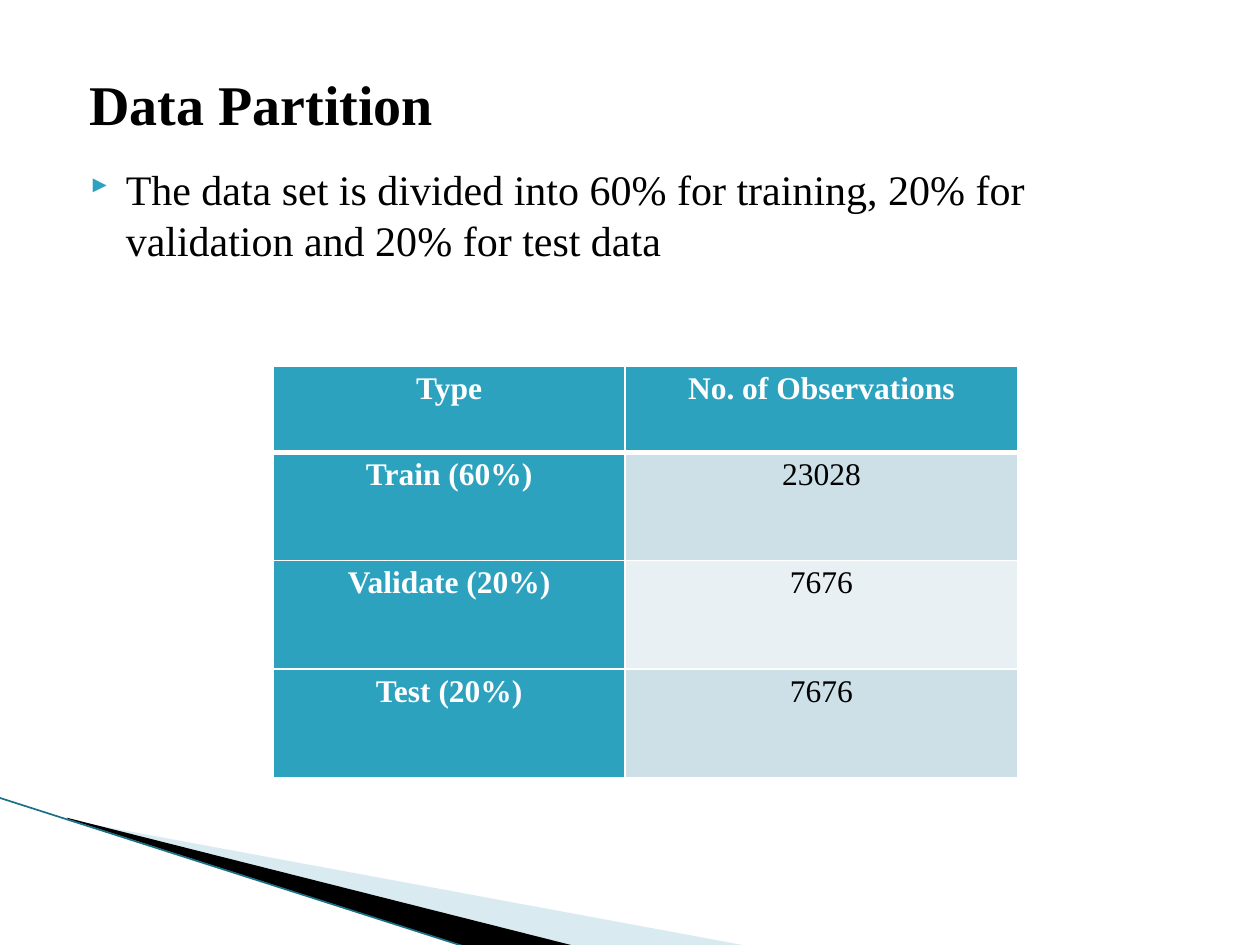
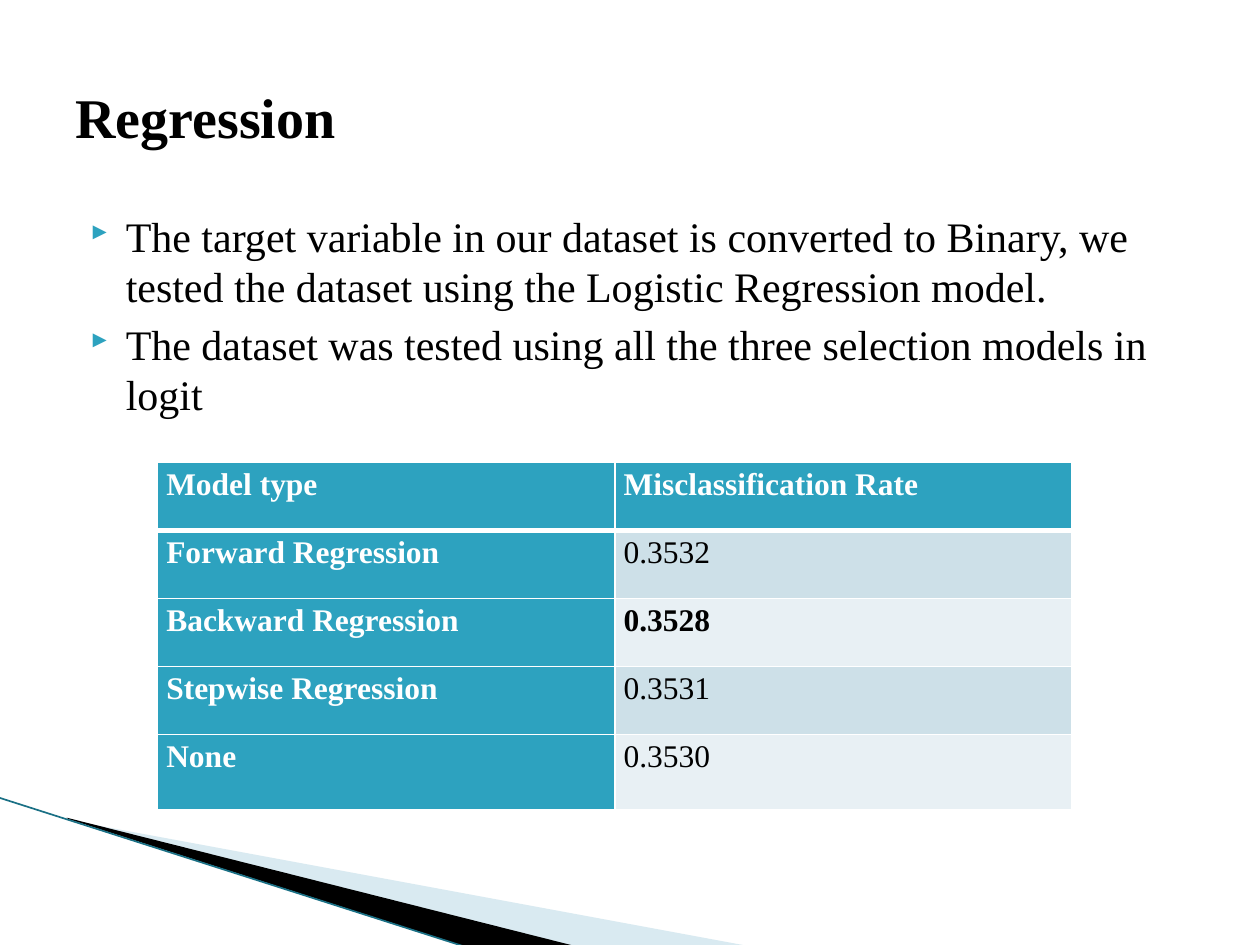
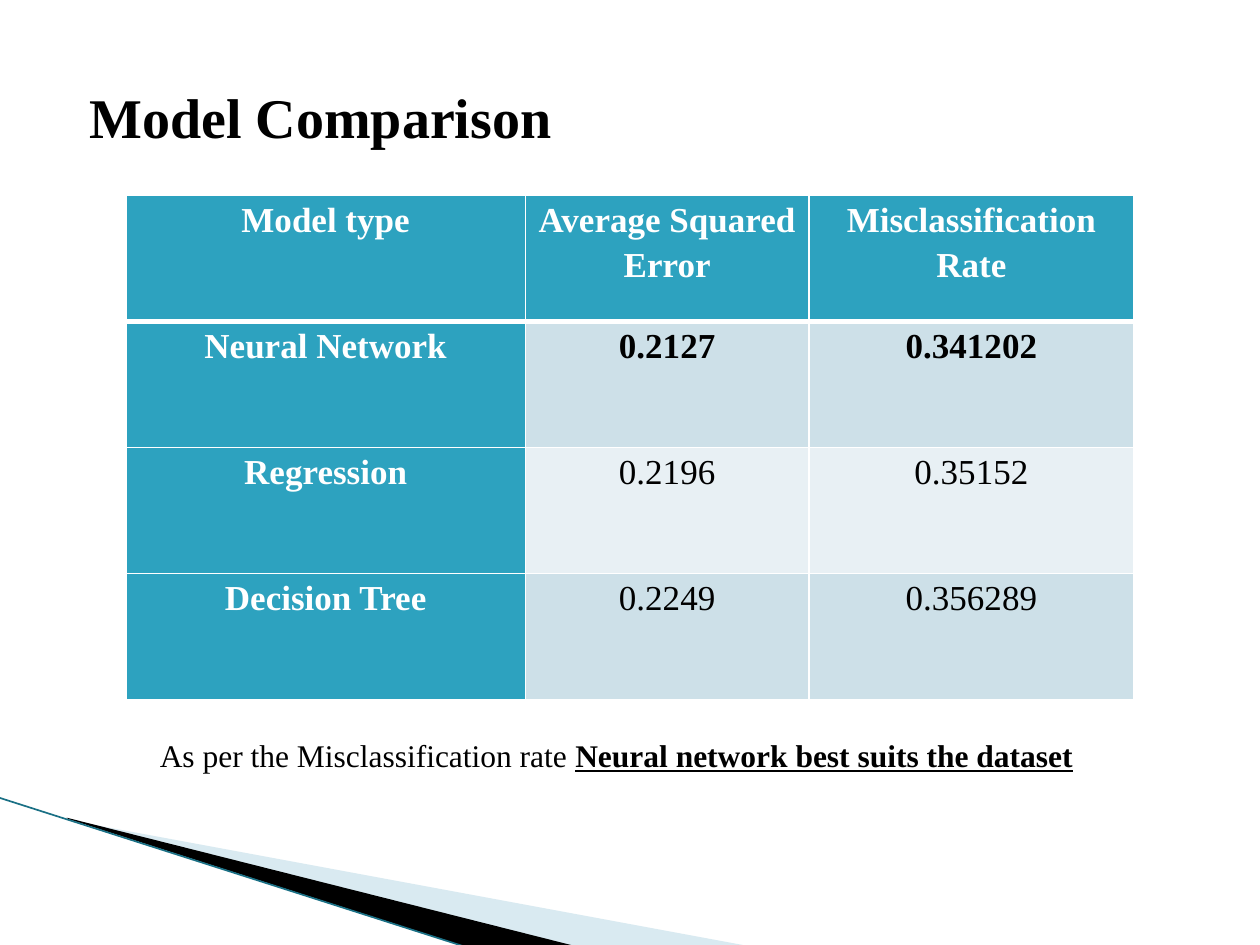
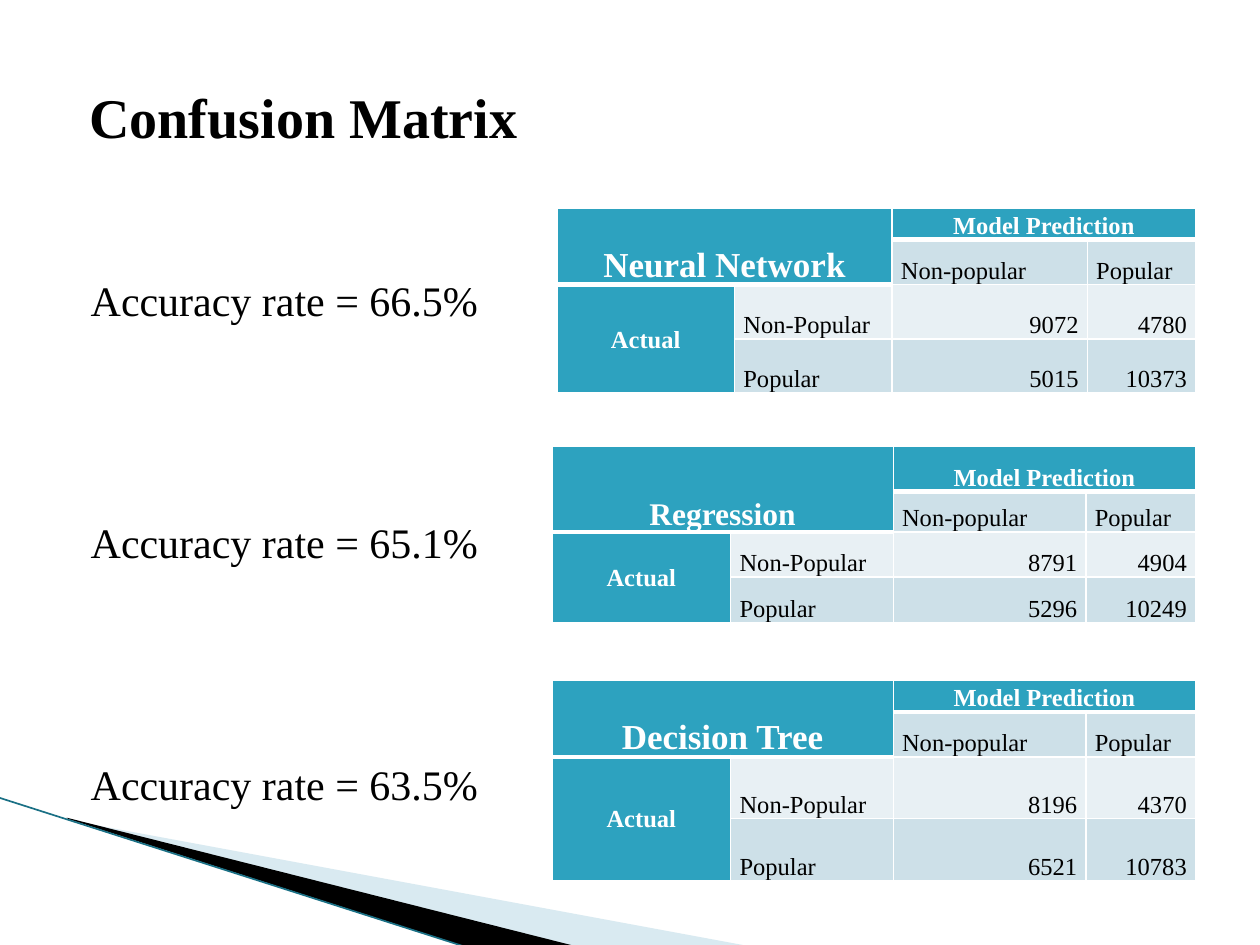
from dataclasses import dataclass

from lxml import etree
from pptx import Presentation
from pptx.dml.color import RGBColor
from pptx.enum import shapes, text
from pptx.oxml import ns
from pptx.util import Inches, Pt

ALIGN = text.PP_ALIGN
ANCHOR = text.MSO_ANCHOR


@dataclass(frozen=True)
class Theme:
    font: str = "Times New Roman"
    ink: str = "000000"
    paper: str = "FFFFFF"
    accent: str = "2DA2BF"
    bands: tuple = ("E8F0F4", "CDE0E8")  # even rows, odd rows
    wedge: str = "A0CBDC"
    edge: str = "1A7085"
    title: int = 32
    body: int = 24
    large: int = 20
    medium: int = 18
    small: int = 14


def add_xml(parent, tag, **attributes):
    return etree.SubElement(parent, ns.qn(tag), attributes)


class Deck:
    def __init__(self, theme):
        self.theme = theme
        self.prs = Presentation()
        self.prs.slide_width, self.prs.slide_height = Inches(10), Inches(7.5)
        self.slide = None

    def new_slide(self, title, height=1.25, indent=0.11):
        self.slide = self.prs.slides.add_slide(self.prs.slide_layouts[6])
        self.corner()
        frame = self.text_box(0.5, 0.3, 9, height)
        frame.vertical_anchor = ANCHOR.MIDDLE
        frame.margin_left = Inches(0.1 + indent)
        frame.text = title
        self.style(frame.paragraphs[0], self.theme.title, bold=True)

    def corner(self):
        """Draw the wedges and the edge line at the bottom left."""
        pale = self.wedge([(0.55, 6.51), (5.95, 7.51), (4.56, 7.51), (0.55, 6.5)],
                          self.theme.wedge)
        colour = pale.fill._xPr.find(".//" + ns.qn("a:srgbClr"))
        add_xml(colour, "a:alpha", val="40000")
        self.wedge([(0.53, 6.49), (4.57, 7.51), (3.72, 7.52), (0.54, 6.5)],
                   self.theme.ink)
        edge = self.slide.shapes.add_connector(
            shapes.MSO_CONNECTOR.STRAIGHT,
            Inches(-0.01), Inches(6.33), Inches(3.71), Inches(7.52))
        edge.line.color.rgb = RGBColor.from_string(self.theme.edge)
        edge.line.width = Pt(0.95)
        add_xml(edge._element.spPr, "a:effectLst")

    def wedge(self, points, colour):
        start, *others = [(Inches(x), Inches(y)) for x, y in points]
        builder = self.slide.shapes.build_freeform(*start)
        builder.add_line_segments(others, close=True)
        wedge = builder.convert_to_shape()
        wedge.shadow.inherit = False
        wedge.fill.solid()
        wedge.fill.fore_color.rgb = RGBColor.from_string(colour)
        wedge.line.fill.background()
        return wedge

    def text_box(self, left, top, width, height):
        box = self.slide.shapes.add_textbox(
            Inches(left), Inches(top), Inches(width), Inches(height))
        box.text_frame.word_wrap = True
        return box.text_frame

    def style(self, paragraph, size, colour=None, bold=False):
        for run in paragraph.runs:
            run.font.name = self.theme.font
            run.font.size = Pt(size)
            run.font.bold = bold
            run.font.color.rgb = RGBColor.from_string(colour or self.theme.ink)

    def bullets(self, top, height, lines):
        frame = self.text_box(0.5, top, 9, height)
        frame.text = "\n".join(lines)
        for paragraph in frame.paragraphs:
            paragraph.space_before = Pt(4)
            self.style(paragraph, self.theme.body)
            props = paragraph._p.get_or_add_pPr()
            props.set("marL", str(Inches(0.4)))
            props.set("indent", str(Inches(-0.28)))
            colour = add_xml(props, "a:buClr")
            add_xml(colour, "a:srgbClr", val=self.theme.accent)
            add_xml(props, "a:buSzPct", val="68000")
            # In this symbol font the brace is a right-pointing triangle.
            add_xml(props, "a:buFont", typeface="Wingdings 3", charset="2")
            add_xml(props, "a:buChar", char="}")

    def spaced_lines(self, lines, gap):
        frame = self.text_box(0.5, 1.62, 9, 4.95)
        frame.margin_left, frame.margin_top = Inches(0.22), Inches(0.56)
        frame.text = "\n".join(lines)
        for index, paragraph in enumerate(frame.paragraphs):
            paragraph.space_before = Pt(gap if index else 0)
            self.style(paragraph, self.theme.body)

    def caption(self, plain, stressed):
        frame = self.text_box(1.17, 5.79, 7.83, 0.4)
        frame.auto_size = text.MSO_AUTO_SIZE.SHAPE_TO_FIT_TEXT
        paragraph = frame.paragraphs[0]
        for part in (plain, stressed):
            paragraph.add_run().text = part
        self.style(paragraph, self.theme.medium)
        paragraph.runs[1].font.bold = paragraph.runs[1].font.underline = True

    def grid(self, left, top, widths, heights):
        table = self.slide.shapes.add_table(
            len(heights), len(widths), Inches(left), Inches(top),
            Inches(sum(widths)), Inches(sum(heights))).table
        for column, width in zip(table.columns, widths):
            column.width = Inches(width)
        for row, height in zip(table.rows, heights):
            row.height = Inches(height)
        return table

    def cell(self, cell, words, row, size, head=False, thick=False, bold=False,
             align=ALIGN.LEFT, anchor=ANCHOR.TOP, spacing=1.15):
        theme = self.theme
        cell.margin_left = cell.margin_right = Inches(0.07)
        cell.margin_top = cell.margin_bottom = 0
        cell.vertical_anchor = anchor
        self.borders(cell, thick, top=row == 0)
        cell.fill.solid()
        cell.fill.fore_color.rgb = RGBColor.from_string(
            theme.accent if head else theme.bands[row % 2])
        cell.text_frame.text = words
        paragraph = cell.text_frame.paragraphs[0]
        paragraph.alignment = align
        paragraph.line_spacing = spacing
        self.style(paragraph, size, theme.paper if head else theme.ink, head or bold)
        if not words:
            add_xml(paragraph._p, "a:endParaRPr", sz=str(theme.small * 100))

    def borders(self, cell, thick, top):
        """Rule the cell; the top is left to the cell above, if there is one."""
        props = cell._tc.get_or_add_tcPr()
        widths = {"a:lnL": 1, "a:lnR": 1, "a:lnT": 1, "a:lnB": 3 if thick else 1}
        for side, width in widths.items():
            if side != "a:lnT" or top:
                line = add_xml(props, side, w=str(Pt(width)))
                fill = add_xml(line, "a:solidFill")
                add_xml(fill, "a:srgbClr", val=self.theme.paper)

    def table(self, left, top, widths, heights, rows, size, align, best=None):
        """Add a table with a head row and column; row number best is bold."""
        table = self.grid(left, top, widths, heights)
        for r, row in enumerate(rows):
            for c, words in enumerate(row):
                self.cell(table.cell(r, c), words, r, size, head=r == 0 or c == 0,
                          thick=r == 0, bold=r == best, align=align)

    def confusion_matrix(self, left, top, widths, heights, model, size, counts):
        table = self.grid(left, top, widths, heights)
        rows = [[model, "", "Model Prediction", ""],
                ["", "", "Non-popular", "Popular"],
                ["Actual", "Non-Popular", *counts[0]],
                ["", "Popular", *counts[1]]]
        for r, row in enumerate(rows):
            for c, words in enumerate(row):
                in_corner = r < 2 and c < 2
                head = in_corner or r == 0 or c == 0
                align = (ALIGN.CENTER if head else
                         ALIGN.RIGHT if words.isdigit() else ALIGN.LEFT)
                self.cell(table.cell(r, c), words, r,
                          size if in_corner else self.theme.small, head=head,
                          thick=in_corner or r == 0, align=align, spacing=1.07,
                          anchor=ANCHOR.MIDDLE if c == 0 and r > 1 else ANCHOR.BOTTOM)
        for first, last in (((0, 0), (1, 1)), ((0, 2), (0, 3)), ((2, 0), (3, 0))):
            table.cell(*first).merge(table.cell(*last))


def main():
    theme = Theme()
    deck = Deck(theme)

    deck.new_slide("Data Partition", height=1.03)
    deck.bullets(1.25, 5.32, ["The data set is divided into 60% for training, "
                              "20% for validation and 20% for test data"])
    deck.table(2.17, 2.91, [2.79, 3.12], [0.68] + [0.86] * 3,
               [("Type", "No. of Observations"), ("Train (60%)", "23028"),
                ("Validate (20%)", "7676"), ("Test (20%)", "7676")],
               theme.medium, ALIGN.CENTER)

    deck.new_slide("Regression", indent=0)
    deck.bullets(1.62, 4.95, [
        "The target variable in our dataset is converted to Binary, "
        "we tested the dataset using the Logistic Regression model.",
        "The dataset was tested using all the three selection models in logit"])
    deck.table(1.25, 3.67, [3.63] * 2, [0.54] * 4 + [0.6],
               [("Model type", "Misclassification Rate"),
                ("Forward Regression", "0.3532"), ("Backward Regression", "0.3528"),
                ("Stepwise Regression", "0.3531"), ("None", "0.3530")],
               theme.medium, ALIGN.LEFT, best=2)

    deck.new_slide("Model Comparison")
    deck.table(1, 1.55, [3.17, 2.25, 2.58], [1] * 4,
               [("Model type", "Average Squared Error", "Misclassification Rate"),
                ("Neural Network", "0.2127", "0.341202"),
                ("Regression", "0.2196", "0.35152"),
                ("Decision Tree", "0.2249", "0.356289")],
               theme.large, ALIGN.CENTER, best=1)
    deck.caption("As per the Misclassification rate ",
                 "Neural network best suits the dataset")

    deck.new_slide("Confusion Matrix")
    deck.spaced_lines([f"Accuracy rate = {rate}%" for rate in (66.5, 65.1, 63.5)],
                      gap=109.5)
    deck.confusion_matrix(4.42, 1.65, [1.41, 1.25, 1.55, 0.86],
                          [0.24, 0.36, 0.43, 0.43], "Neural Network", theme.large,
                          [("9072", "4780"), ("5015", "10373")])
    widths = [1.42, 1.29, 1.53, 0.87]
    deck.confusion_matrix(4.38, 3.54, widths, [0.36, 0.32, 0.36, 0.36],
                          "Regression", theme.medium,
                          [("8791", "4904"), ("5296", "10249")])
    deck.confusion_matrix(4.38, 5.4, widths, [0.25, 0.35, 0.49, 0.49],
                          "Decision Tree", theme.large,
                          [("8196", "4370"), ("6521", "10783")])

    deck.prs.save("out.pptx")


if __name__ == "__main__":
    main()
